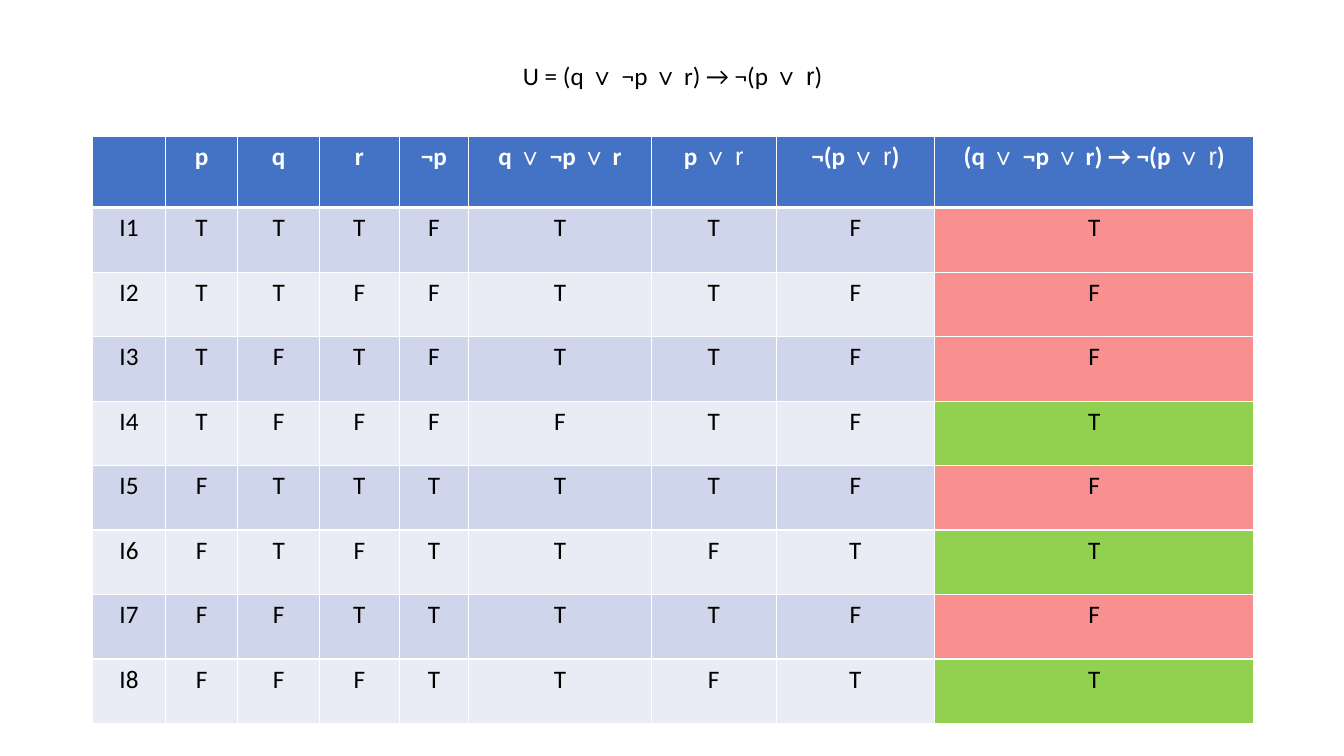
from dataclasses import dataclass

from lxml import etree
from pptx import Presentation
from pptx import util as u
from pptx.dml.color import RGBColor
from pptx.enum import text
from pptx.oxml import ns

PX = u.Inches(1) // 100
COLORS = {
    "text": "000000",
    "white": "FFFFFF",
    "header": "4472C4",
    "odd": "CFD5EA",
    "even": "E9EBF5",
    "red": "F89090",
    "green": "92D050",
}
HEADER_HEIGHT, ROW_HEIGHT = 71, 64


@dataclass
class Column:
    heading: str
    width: int


@dataclass
class Interpretation:
    values: str
    result_fill: str


# A bar switches between the letter font and the symbol font.
FORMULA = "U = (q |∨ |¬p |∨| r) → ¬(p |∨ r|)"
COLUMNS = [
    Column("", 72),
    Column("p", 72),
    Column("q", 81),
    Column("r", 79),
    Column("¬p", 69),
    Column("q |∨ |¬p |∨| r", 181),
    Column("p |∨ r", 124),
    Column("¬(p |∨ r|)", 157),
    Column("(q |∨ |¬p |∨| r) → ¬(p |∨ r|)", 317),
]
INTERPRETATIONS = [
    Interpretation("TTTFTTFT", "red"),
    Interpretation("TTFFTTFF", "red"),
    Interpretation("TFTFTTFF", "red"),
    Interpretation("TFFFFTFT", "green"),
    Interpretation("FTTTTTFF", "red"),
    Interpretation("FTFTTFTT", "green"),
    Interpretation("FFTTTTFF", "red"),
    Interpretation("FFFTTFTT", "green"),
]


def write_formula(frame, formula: str, *, color: str = "text", bold: bool = False) -> None:
    """Write centred text, with every second part in the symbol font."""
    para = frame.paragraphs[0]
    para.alignment = text.PP_ALIGN.CENTER
    para.font.size = u.Pt(18)
    for index, part in enumerate(formula.split("|")):
        if not part:
            continue
        is_symbol = index % 2 == 1
        span = para.add_run()
        span.text = part
        span.font.name = "Arial" if is_symbol else "Calibri"
        span.font.size = u.Pt(18)
        span.font.bold = bold and not is_symbol
        span.font.color.rgb = RGBColor.from_string(COLORS[color])


def set_borders(cell, *, top: int = 1, bottom: int = 1) -> None:
    properties = cell._tc.get_or_add_tcPr()
    for side, points in {"L": 1, "R": 1, "T": top, "B": bottom}.items():
        line = etree.SubElement(properties, ns.qn(f"a:ln{side}"), w=str(u.Pt(points)))
        fill = etree.SubElement(line, ns.qn("a:solidFill"))
        etree.SubElement(fill, ns.qn("a:srgbClr"), val=COLORS["white"])


def fill_cell(cell, color: str) -> None:
    cell.fill.solid()
    cell.fill.fore_color.rgb = RGBColor.from_string(COLORS[color])


def add_formula_title(page) -> None:
    box = page.shapes.title
    box.left, box.top, box.width, box.height = (n * PX for n in (92, 25, 1150, 101))
    frame = box.text_frame
    frame.word_wrap = True
    frame.auto_size = text.MSO_AUTO_SIZE.NONE
    frame.vertical_anchor = text.MSO_ANCHOR.TOP
    frame.margin_top = 35 * PX
    write_formula(frame, FORMULA)


def add_truth_table(page) -> None:
    width = sum(column.width for column in COLUMNS)
    height = HEADER_HEIGHT + ROW_HEIGHT * len(INTERPRETATIONS)
    table = page.shapes.add_table(
        len(INTERPRETATIONS) + 1, len(COLUMNS), 92 * PX, 135 * PX, width * PX, height * PX
    ).table

    table.rows[0].height = HEADER_HEIGHT * PX
    for index, column in enumerate(COLUMNS):
        table.columns[index].width = column.width * PX
        cell = table.cell(0, index)
        write_formula(cell.text_frame, column.heading, color="white", bold=True)
        set_borders(cell, bottom=3)
        fill_cell(cell, "header")

    for number, interpretation in enumerate(INTERPRETATIONS, start=1):
        table.rows[number].height = ROW_HEIGHT * PX
        band = "odd" if number % 2 else "even"
        entries = [f"I{number}", *interpretation.values]
        for index, entry in enumerate(entries):
            cell = table.cell(number, index)
            write_formula(cell.text_frame, entry)
            set_borders(cell, top=3 if number == 1 else 1)
            is_result = index == len(entries) - 1
            fill_cell(cell, interpretation.result_fill if is_result else band)


def main() -> None:
    deck = Presentation()
    deck.slide_width, deck.slide_height = 1333 * PX, 750 * PX
    page = deck.slides.add_slide(deck.slide_layouts.get_by_name("Title Only"))
    add_truth_table(page)
    add_formula_title(page)
    deck.save("out.pptx")


if __name__ == "__main__":
    main()
